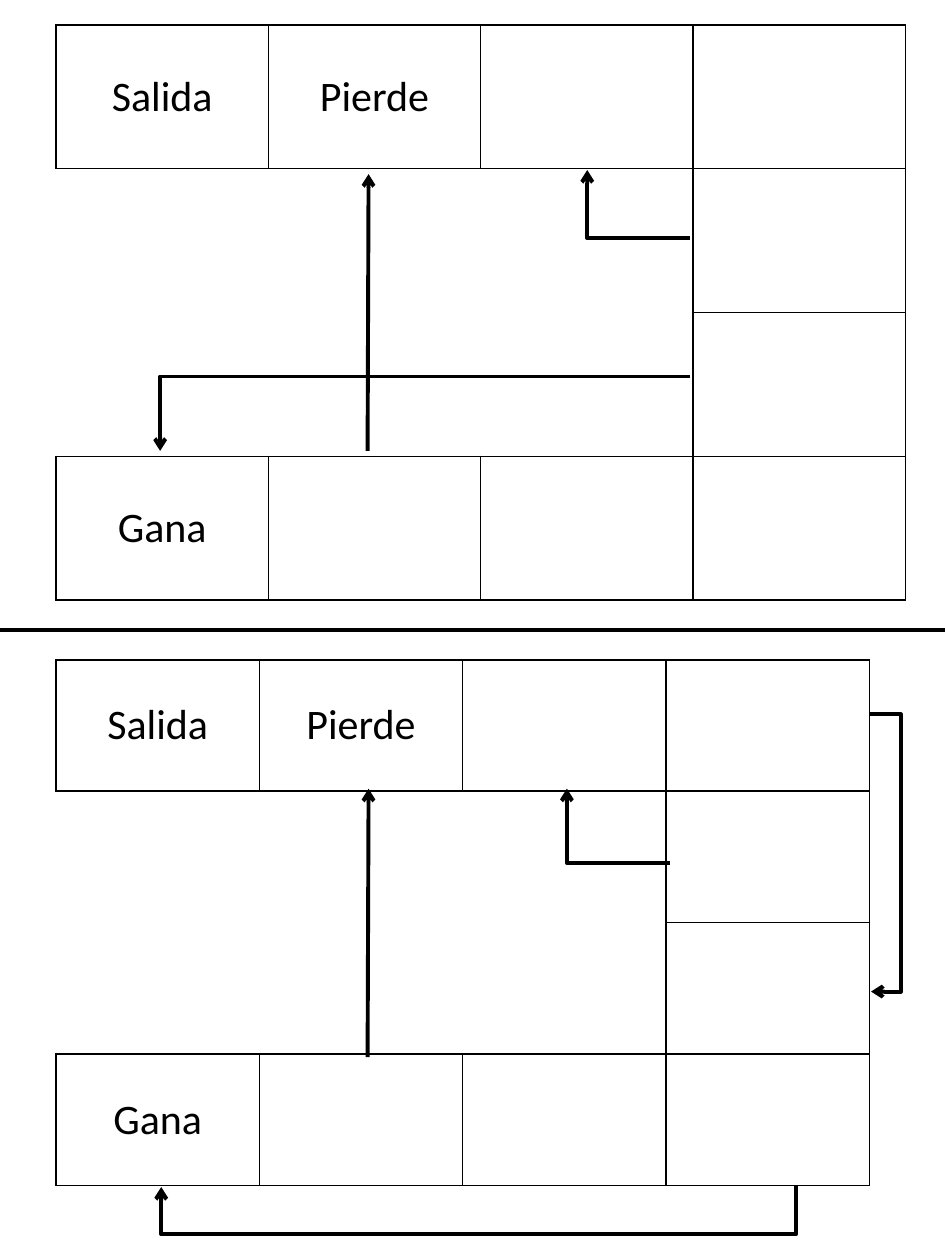
from dataclasses import dataclass
from typing import Optional

from lxml import etree
from pptx import Presentation
from pptx import util as u
from pptx.dml.color import RGBColor
from pptx.enum import shapes, text
from pptx.oxml.ns import qn

BLACK = RGBColor(0, 0, 0)
GRID = 4
LABELS = {(0, 0): "Salida", (0, 1): "Pierde", (3, 0): "Gana"}
SIDES = {"a:lnL": (0, -1), "a:lnR": (0, 1), "a:lnT": (-1, 0), "a:lnB": (1, 0)}


@dataclass
class Board:
    left: float
    top: float
    column: float
    row: float


@dataclass
class Route:
    start: tuple[float, float]
    end: tuple[float, float]
    kind: str = "line"  # line, corner or loop
    bend: Optional[float] = None  # where a loop turns back
    down: bool = False  # the loop leaves downwards
    arrow: bool = True


BOARDS = [Board(1.13, 0.5, 4.28, 2.9), Board(1.13, 13.3, 4.1, 2.65)]
ROUTES = [
    Route((-0.28, 12.7), (19.25, 12.7), arrow=False),
    # Upper board
    Route((13.92, 7.59), (3.23, 9.09), "corner"),
    Route((13.92, 4.8), (11.84, 3.43), "corner"),
    Route((7.41, 9.09), (7.43, 3.51)),
    # Lower board
    Route((16.05, 23.88), (3.25, 23.93), "loop", 24.88, True),
    Route((13.51, 17.4), (11.43, 15.9), "corner"),
    Route((7.41, 21.31), (7.43, 15.9)),
    Route((17.53, 14.4), (17.56, 19.99), "loop", 18.16),
]


def apply(target, values: dict) -> None:
    for name, value in values.items():
        setattr(target, name, value)


def boxed(row: int, column: int) -> bool:
    """True for the squares of the track, False for the open middle."""
    inside = 0 <= row < GRID and 0 <= column < GRID
    return inside and (row in (0, GRID - 1) or column == GRID - 1)


def draw_borders(cell, row: int, column: int) -> None:
    properties = cell._tc.get_or_add_tcPr()
    for tag, (down, right) in SIDES.items():
        edge = etree.SubElement(properties, qn(tag), w=str(u.Pt(1)))
        if boxed(row, column) or boxed(row + down, column + right):
            fill = etree.SubElement(edge, qn("a:solidFill"))
            etree.SubElement(fill, qn("a:srgbClr"), val=str(BLACK))
        else:
            etree.SubElement(edge, qn("a:noFill"))


def draw_board(page, board: Board) -> None:
    frame = page.shapes.add_table(
        GRID, GRID, u.Cm(board.left), u.Cm(board.top),
        u.Cm(board.column * GRID), u.Cm(board.row * GRID))
    table = frame.table
    apply(table, {"first_row": False, "horz_banding": False})
    for index in range(GRID):
        table.columns[index].width = u.Cm(board.column)
        table.rows[index].height = u.Cm(board.row)
    margins = {f"margin_{side}": u.Cm(0.18)
               for side in ("left", "right", "top", "bottom")}
    for row in range(GRID):
        for column in range(GRID):
            cell = table.cell(row, column)
            draw_borders(cell, row, column)
            cell.fill.background()
            apply(cell, {"vertical_anchor": text.MSO_ANCHOR.MIDDLE, **margins})
            if (row, column) in LABELS:
                para = cell.text_frame.paragraphs[0]
                para.alignment = text.PP_ALIGN.CENTER
                span = para.add_run()
                span.text = LABELS[row, column]
                apply(span.font, {"name": "Calibri", "size": u.Pt(24)})
                span.font.color.rgb = BLACK


def draw_route(page, route: Route) -> None:
    (x1, y1), (x2, y2) = route.start, route.end
    first, last = (x1, x2) if not route.down else (y1, y2)
    if route.down:
        # Lay the frame out sideways; a quarter turn puts it in place
        middle_x, middle_y = (x1 + x2) / 2, (y1 + y2) / 2
        half_x, half_y = (y2 - y1) / 2, (x1 - x2) / 2
        x1, x2 = middle_x - half_x, middle_x + half_x
        y1, y2 = middle_y - half_y, middle_y + half_y
    style = shapes.MSO_CONNECTOR.STRAIGHT if route.kind == "line" else shapes.MSO_CONNECTOR.ELBOW
    line = page.shapes.add_connector(style, u.Cm(x1), u.Cm(y1), u.Cm(x2), u.Cm(y2))
    properties = line._element.spPr
    geometry = properties.find(qn("a:prstGeom"))
    if route.kind == "corner":
        geometry.set("prst", "bentConnector2")
    if route.kind == "loop":
        guides = geometry.find(qn("a:avLst"))
        if guides is None:
            guides = etree.SubElement(geometry, qn("a:avLst"))
        turn = round((route.bend - first) / (last - first) * 100000)
        etree.SubElement(guides, qn("a:gd"), name="adj1", fmla=f"val {turn}")
    if route.down:
        properties.find(qn("a:xfrm")).set("rot", str(90 * 60000))
    line.line.width = u.Pt(2.25)
    line.line.color.rgb = BLACK
    if route.arrow:
        etree.SubElement(line.line._get_or_add_ln(), qn("a:tailEnd"), type="arrow")
    etree.SubElement(properties, qn("a:effectLst"))


deck = Presentation()
apply(deck, {"slide_width": u.Cm(19.05), "slide_height": u.Cm(25.4)})
page = deck.slides.add_slide(deck.slide_layouts[6])
for board in BOARDS:
    draw_board(page, board)
for route in ROUTES:
    draw_route(page, route)
deck.save("out.pptx")
